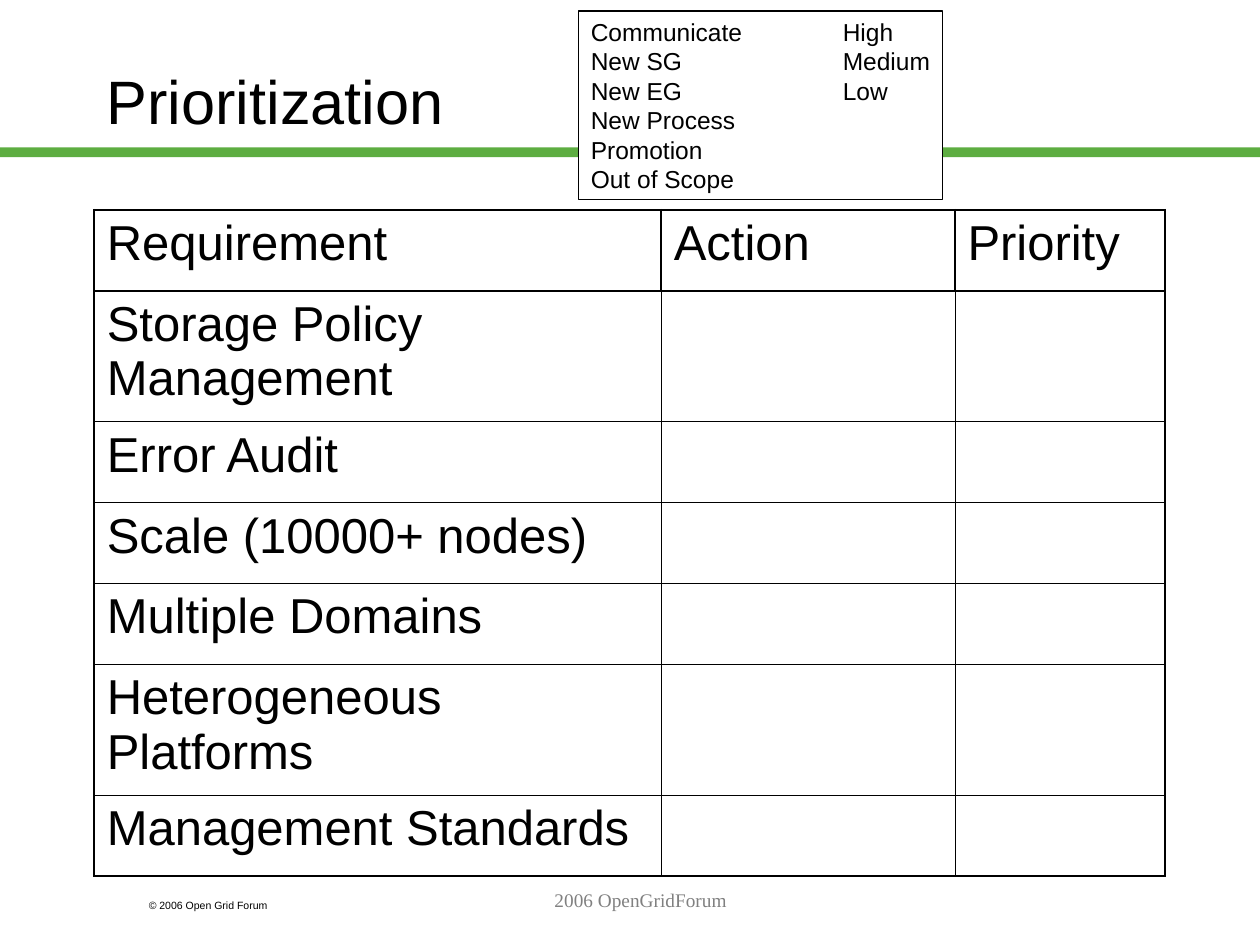
from dataclasses import dataclass

import lxml.etree
import pptx
import pptx.dml.color
import pptx.enum.shapes
import pptx.enum.text
import pptx.oxml.ns
import pptx.util

Cm = pptx.util.Cm
Pt = pptx.util.Pt
Color = pptx.dml.color.RGBColor
Align = pptx.enum.text.PP_ALIGN
Anchor = pptx.enum.text.MSO_ANCHOR
qn = pptx.oxml.ns.qn

BLACK = Color(0x00, 0x00, 0x00)
WHITE = Color(0xFF, 0xFF, 0xFF)
GREEN = Color(0x5D, 0xAD, 0x41)
GRAY = Color(0x80, 0x80, 0x80)

THIN, OUTER, HEAD = 0.45, 1.08, 1.47

HEADS = ["Requirement", "Action", "Priority"]
NEEDS = [
    "Storage Policy Management",
    "Error Audit",
    "Scale (10000+ nodes)",
    "Multiple Domains",
    "Heterogeneous Platforms",
    "Management Standards",
]
TALL = {"Storage Policy Management", "Heterogeneous Platforms"}
WIDTHS = [11.43, 5.92, 4.24]
LEGEND = [
    "Communicate\tHigh",
    "New SG\tMedium",
    "New EG\tLow",
    "New Process",
    "Promotion",
    "Out of Scope",
]


@dataclass
class Label:
    lines: list[str]
    left: float
    top: float
    width: float
    height: float
    size: float
    font: str = "Arial"
    color: Color = BLACK
    align: Align = Align.LEFT
    anchor: Anchor = Anchor.TOP
    right: float = 0.25
    tab: float = 0


def style(para, size: float, font: str = "Arial", color: Color = BLACK) -> None:
    para.font.size = Pt(size)
    para.font.name = font
    para.font.color.rgb = color


def add_tab(para, pos: float) -> None:
    stops = lxml.etree.SubElement(para._p.get_or_add_pPr(), qn("a:tabLst"))
    lxml.etree.SubElement(stops, qn("a:tab"), pos=str(Cm(pos)), algn="l")


def add_label(slide, item: Label):
    box = slide.shapes.add_textbox(
        Cm(item.left), Cm(item.top), Cm(item.width), Cm(item.height))
    frame = box.text_frame
    frame.word_wrap = True
    frame.margin_right = Cm(item.right)
    frame.vertical_anchor = item.anchor
    frame.text = "\n".join(item.lines)
    for para in frame.paragraphs:
        para.alignment = item.align
        if item.tab and "\t" in para.text:
            add_tab(para, item.tab)
        style(para, item.size, item.font, item.color)
    return box


def add_bar(slide) -> None:
    bar = slide.shapes.add_shape(
        pptx.enum.shapes.MSO_SHAPE.RECTANGLE,
        Cm(0), Cm(2.97), Cm(25.4), Cm(0.2))
    bar.shadow.inherit = False
    bar.fill.solid()
    bar.fill.fore_color.rgb = GREEN
    bar.line.fill.background()


def add_edge(cell, side: str, width: float) -> None:
    edge = lxml.etree.SubElement(
        cell._tc.get_or_add_tcPr(), qn(f"a:ln{side}"), w=str(Pt(width)))
    fill = lxml.etree.SubElement(edge, qn("a:solidFill"))
    lxml.etree.SubElement(fill, qn("a:srgbClr"), val=str(BLACK))


def add_edges(cell, row: int, col: int) -> None:
    """Rule a cell: heavy around the headings, medium outside, thin inside."""
    inner = HEAD if row == 0 else THIN
    widths = {
        "L": OUTER if col == 0 else inner,
        "R": OUTER if col == len(HEADS) - 1 else inner,
        "T": OUTER if row == 0 else HEAD if row == 1 else THIN,
        "B": OUTER if row == len(NEEDS) else inner,
    }
    for side, width in widths.items():
        add_edge(cell, side, width)


def add_grid(slide) -> None:
    rows = [HEADS] + [[need, "", ""] for need in NEEDS]
    highs = [2.64 if row[0] in TALL else 1.63 for row in rows]
    grid = slide.shapes.add_table(
        len(rows), len(HEADS), Cm(1.9), Cm(4.23),
        Cm(sum(WIDTHS)), Cm(sum(highs))).table
    grid.first_row = False
    grid.horz_banding = False
    for col, width in zip(grid.columns, WIDTHS):
        col.width = Cm(width)
    for r, (texts, high) in enumerate(zip(rows, highs)):
        grid.rows[r].height = Cm(high)
        for c, text in enumerate(texts):
            cell = grid.cell(r, c)
            add_edges(cell, r, c)
            cell.fill.background()
            cell.text = text
            style(cell.text_frame.paragraphs[0], 28)


def main() -> None:
    deck = pptx.Presentation()
    deck.slide_width, deck.slide_height = Cm(25.4), Cm(19.05)
    slide = deck.slides.add_slide(deck.slide_layouts[6])

    add_bar(slide)
    add_label(slide, Label(["© 2006 Open Grid Forum"], 2.75, 18, 3.81, 0.51, 6))
    add_label(slide, Label(["Prioritization"], 1.9, 0.43, 21.59, 3.18, 35,
                           anchor=Anchor.MIDDLE))
    legend = add_label(slide, Label(LEGEND, 11.66, 0.22, 7.34, 3.81, 14,
                                    right=0, tab=5.08))
    legend.fill.solid()
    legend.fill.fore_color.rgb = WHITE
    legend.line.color.rgb = BLACK
    legend.line.width = Pt(0.75)
    add_grid(slide)
    add_label(slide, Label(["2006 OpenGridForum"], 5.51, 17.78, 14.81, 1.27, 11,
                           "Times New Roman", GRAY, Align.CENTER))
    deck.save("out.pptx")


if __name__ == "__main__":
    main()
